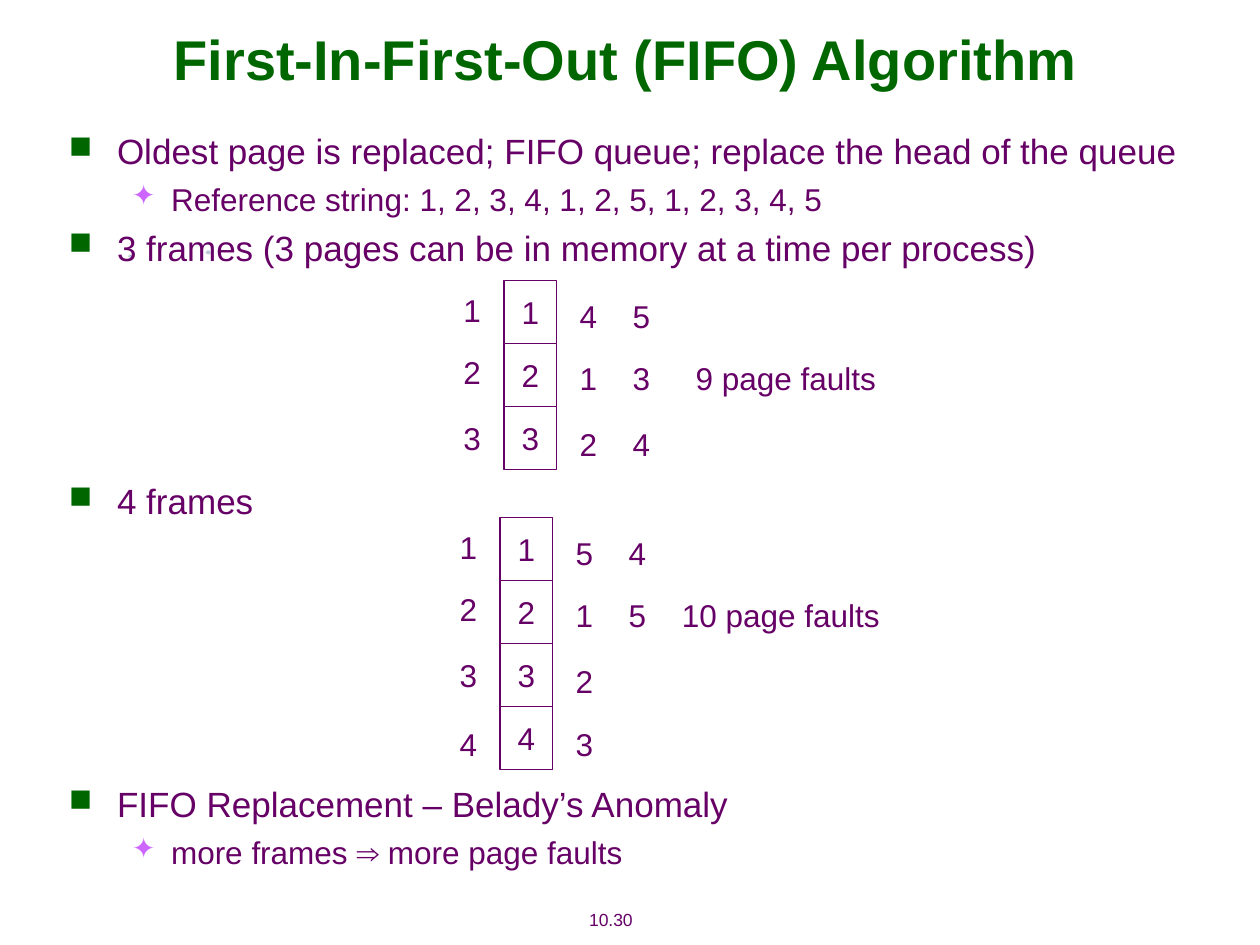
from dataclasses import dataclass

from lxml.etree import SubElement
from pptx import Presentation
from pptx.dml.color import RGBColor
from pptx.enum.shapes import MSO_SHAPE
from pptx.enum.text import MSO_ANCHOR, MSO_AUTO_SIZE, PP_ALIGN
from pptx.oxml.ns import qn
from pptx.util import Cm, Pt

# Frame grid, in centimetres
CELL_WIDTH, CELL_HEIGHT = 1.06, 1.27
LABEL_WIDTH, LABEL_HEIGHT = 0.86, 1.02
NUMBER_OFFSET = -1.07
HISTORY_OFFSETS = (1.27, 2.34)
NUMBER_TOPS = (0.08, 1.32, 2.65, 4.04)
HISTORY_TOPS = (0.2, 1.44, 2.77, 4.04)


def color(hex_string):
    return RGBColor.from_string(hex_string)


@dataclass
class SlideBuilder:
    slide: object
    font: str = "Arial"
    ink: str = "660066"
    green: str = "006600"
    violet: str = "CC66FF"
    paper: str = "FFFFFF"

    def add_run(self, para, text, size, hex_string=None, bold=False):
        span = para.add_run()
        span.text = text
        span.font.name = self.font
        span.font.size = Pt(size)
        span.font.bold = bold
        span.font.color.rgb = color(hex_string or self.ink)

    def text_box(self, left, top, width, height):
        return self.slide.shapes.add_textbox(
            Cm(left), Cm(top), Cm(width), Cm(height))

    def title(self, text, left, top, width, height):
        frame = self.text_box(left, top, width, height).text_frame
        frame.word_wrap = True
        frame.vertical_anchor = MSO_ANCHOR.MIDDLE
        self.add_run(frame.paragraphs[0], text, 32, self.green, bold=True)

    def label(self, text, left, top, width=LABEL_WIDTH,
              height=LABEL_HEIGHT, size=18):
        frame = self.text_box(left, top, width, height).text_frame
        frame.word_wrap = False
        frame.auto_size = MSO_AUTO_SIZE.SHAPE_TO_FIT_TEXT
        frame.vertical_anchor = MSO_ANCHOR.MIDDLE
        para = frame.paragraphs[0]
        para.alignment = PP_ALIGN.CENTER
        self.add_run(para, text, size)

    def cell(self, text, left, top):
        box = self.slide.shapes.add_shape(
            MSO_SHAPE.RECTANGLE, Cm(left), Cm(top),
            Cm(CELL_WIDTH), Cm(CELL_HEIGHT))
        box.shadow.inherit = False
        box.fill.solid()
        box.fill.fore_color.rgb = color(self.paper)
        box.line.color.rgb = color(self.ink)
        box.line.width = Pt(0.75)
        frame = box.text_frame
        frame.word_wrap = False
        frame.vertical_anchor = MSO_ANCHOR.MIDDLE
        para = frame.paragraphs[0]
        para.alignment = PP_ALIGN.CENTER
        self.add_run(para, text, 18)

    def bullet_list(self, items, left, top, width, height):
        frame = self.text_box(left, top, width, height).text_frame
        frame.word_wrap = True
        levels = (
            (20, 0.97, 0.97, "■", self.green),
            (18, 2.06, 0.79, "✦", self.violet),
        )
        for index, (level, space, text) in enumerate(items):
            para = frame.add_paragraph() if index else frame.paragraphs[0]
            size, margin, hanging, mark, mark_color = levels[level]
            para.level = level
            para.space_before = Pt(space)
            properties = para._p.get_or_add_pPr()
            properties.set("marL", str(Cm(margin)))
            properties.set("indent", str(-Cm(hanging)))
            bullet_color = SubElement(properties, qn("a:buClr"))
            SubElement(bullet_color, qn("a:srgbClr"), val=mark_color)
            SubElement(properties, qn("a:buSzPct"), val="90000")
            SubElement(properties, qn("a:buChar"), char=mark)
            self.add_run(para, text, size)

    def speck(self, points, hex_string):
        corners = [(Cm(x), Cm(y)) for x, y in points]
        builder = self.slide.shapes.build_freeform(*corners[0])
        builder.add_line_segments(corners[1:], close=True)
        shape = builder.convert_to_shape()
        shape.shadow.inherit = False
        shape.fill.solid()
        shape.fill.fore_color.rgb = color(hex_string)
        shape.line.fill.background()

    def frame_table(self, left, top, count, history):
        pages = [str(number) for number in range(1, count + 1)]
        for row, page in enumerate(pages):
            self.cell(page, left, top + row * CELL_HEIGHT)
            self.label(page, left + NUMBER_OFFSET, top + NUMBER_TOPS[row])
        for offset, column in zip(HISTORY_OFFSETS, history):
            for page, row_top in zip(column, HISTORY_TOPS):
                self.label(page, left + offset, top + row_top)


def main():
    deck = Presentation()
    deck.slide_width, deck.slide_height = Cm(25.4), Cm(19.05)
    page = deck.slides.add_slide(deck.slide_layouts[6])
    page.background.fill.solid()
    page.background.fill.fore_color.rgb = color("FFFFFF")
    builder = SlideBuilder(page)

    # Page number and background specks
    builder.label("10.30", 11.02, 18.19, 2.59, 0.69, size=10)
    builder.speck([(2.59, 5.16), (2.64, 5.15), (2.69, 5.18),
                   (2.67, 5.2), (2.61, 5.18)], "284C70")
    builder.speck([(2.59, 5.16), (2.64, 5.15), (2.67, 5.18),
                   (2.64, 5.2), (2.59, 5.18)], "BFCCD8")
    builder.speck([(4.14, 5.09), (4.18, 5.05), (4.22, 5.05),
                   (4.25, 5.1), (4.22, 5.13), (4.17, 5.12)], "BFCCD8")

    # Title and bullets; wide gaps leave room for the frame tables
    builder.title("First-In-First-Out (FIFO) Algorithm", 3.25, 0, 21.59, 2.34)
    builder.bullet_list([
        (0, 5, "Oldest page is replaced; FIFO queue; "
               "replace the head of the queue"),
        (1, 4.5, "Reference string: 1, 2, 3, 4, 1, 2, 5, 1, 2, 3, 4, 5"),
        (0, 5, "3 frames (3 pages can be in memory at a time per process)"),
        (0, 121, "4 frames"),
        (0, 149, "FIFO Replacement – Belady’s Anomaly"),
        (1, 4.5, "more frames ⇒ more page faults"),
    ], 1.14, 2.49, 23.47, 15.39)

    # Three frames
    builder.frame_table(10.16, 5.66, 3, ("412", "534"))
    builder.label("9 page faults", 13.77, 5.66 + HISTORY_TOPS[1], 4.14)

    # Four frames
    builder.frame_table(10.08, 10.44, 4, ("5123", "45"))
    builder.label("10 page faults", 13.49, 10.44 + HISTORY_TOPS[1], 4.5)

    deck.save("out.pptx")


if __name__ == "__main__":
    main()
